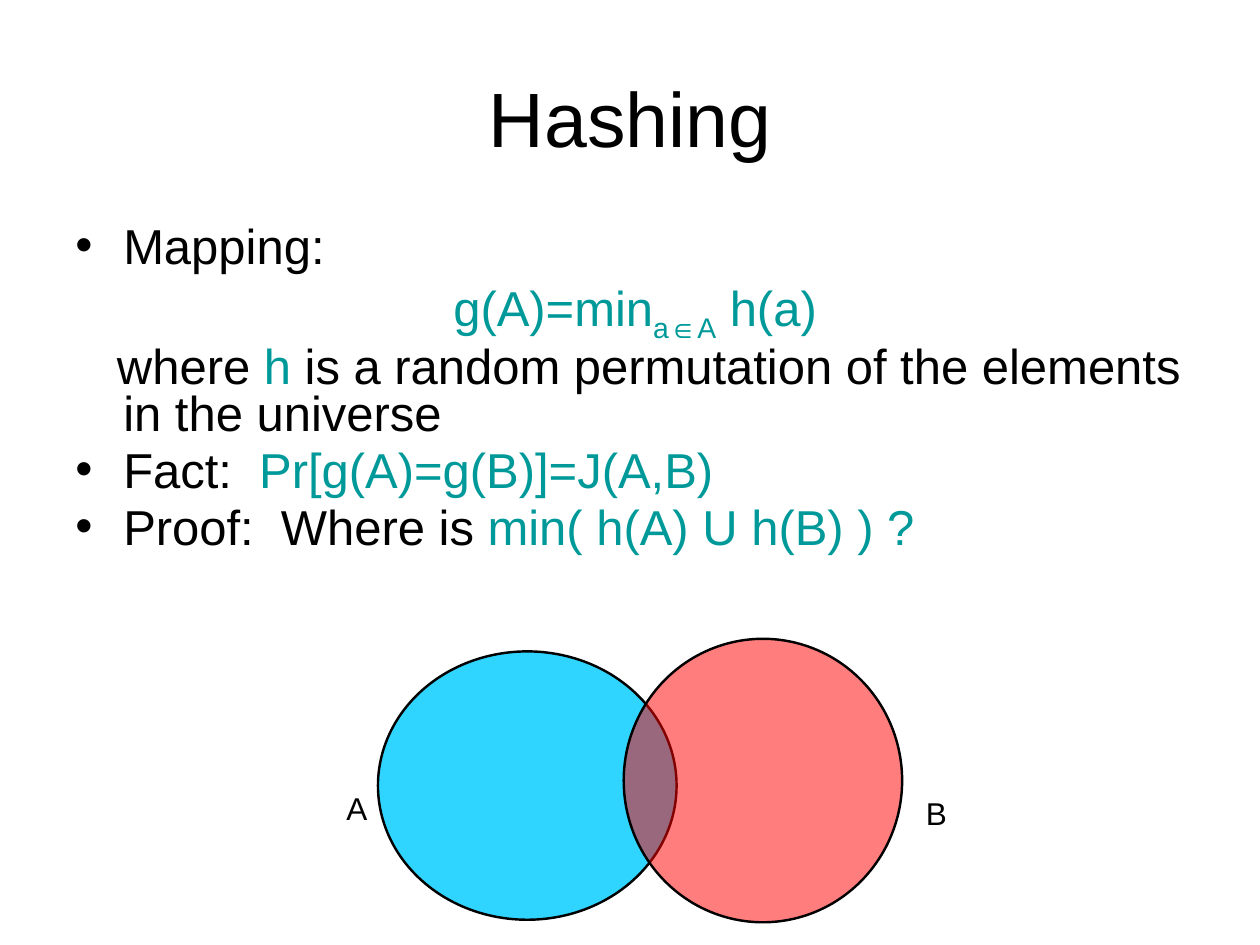
from lxml.etree import SubElement
from pptx import Presentation
from pptx.dml.color import RGBColor
from pptx.enum.shapes import MSO_SHAPE
from pptx.enum.text import MSO_ANCHOR, PP_ALIGN
from pptx.oxml.ns import qn
from pptx.util import Inches, Pt

BLACK = RGBColor(0x00, 0x00, 0x00)
TEAL = RGBColor(0x00, 0x99, 0x99)
BLUE = RGBColor(0x00, 0xCC, 0xFF)
RED = RGBColor(0xFF, 0x00, 0x00)

TITLE = "Hashing"
HANG = 0.38
# Each paragraph: runs of (text, colour, baseline shift in %), then its format
BODY = [
    ([("Mapping:", BLACK, 0)], dict(bullet=True)),
    ([("g(A)=min", TEAL, 0), ("a∈A", TEAL, -25), (" h(a)", TEAL, 0)],
     dict(align=PP_ALIGN.CENTER)),
    ([("where ", BLACK, 0), ("h", TEAL, 0),
      (" is a random permutation of the elements in the universe", BLACK, 0)],
     dict(indent=-0.05)),
    ([("Fact:  ", BLACK, 0), ("Pr[g(A)=g(B)]=J(A,B)", TEAL, 0)], dict(bullet=True)),
    ([("Proof:  Where is", BLACK, 0), (" min( h(A) U h(B) ) ?", TEAL, 0)],
     dict(bullet=True)),
]
# Each set: label, label position, ellipse box, fill, opacity in %
SETS = [
    ("A", (2.65, 6.21), (3, 5.17, 2.37, 2.13), BLUE, 81),
    ("B", (7.25, 6.25), (4.95, 5.07, 2.21, 2.25), RED, 51),
]


def add_run(p, text, size, color=BLACK, baseline=0):
    r = p.add_run()
    r.text = text
    r.font.name, r.font.size = "Arial", Pt(size)
    r.font.color.rgb = color
    if baseline:
        r.font._element.set("baseline", str(baseline * 1000))


def format_body(p, bullet=False, align=PP_ALIGN.LEFT, indent=-HANG):
    p.alignment = align
    p.line_spacing = 0.8
    p.space_before = Pt(5.6)
    pPr = p._p.get_or_add_pPr()
    pPr.set("marL", str(Inches(HANG)))
    pPr.set("indent", str(Inches(indent)))
    if bullet:
        SubElement(pPr, qn("a:buFont")).set("typeface", "Arial")
        SubElement(pPr, qn("a:buChar")).set("char", "•")
    else:
        SubElement(pPr, qn("a:buNone"))


def add_set(s, box, color, opacity):
    sp = s.shapes.add_shape(MSO_SHAPE.OVAL, *map(Inches, box))
    sp.shadow.inherit = False
    sp.fill.solid()
    sp.fill.fore_color.rgb = color
    srgb = sp._element.spPr.find(qn("a:solidFill")).find(qn("a:srgbClr"))
    SubElement(srgb, qn("a:alpha")).set("val", str(opacity * 1000))
    sp.line.color.rgb = BLACK
    sp.line.width = Pt(1.38)


def main():
    prs = Presentation()
    prs.slide_width, prs.slide_height = Inches(10), Inches(7.5)
    s = prs.slides.add_slide(prs.slide_layouts[5])

    title = s.shapes.title
    title.left, title.top, title.width, title.height = map(Inches, (0.5, 0.3, 9, 1.25))
    title.text_frame.vertical_anchor = MSO_ANCHOR.MIDDLE
    p = title.text_frame.paragraphs[0]
    p.alignment = PP_ALIGN.CENTER
    add_run(p, TITLE, 44)

    tf = s.shapes.add_textbox(*map(Inches, (0.5, 1.75, 9.08, 2.92))).text_frame
    tf.word_wrap = True
    for i, (runs, style) in enumerate(BODY):
        p = tf.add_paragraph() if i else tf.paragraphs[0]
        format_body(p, **style)
        for text, color, baseline in runs:
            add_run(p, text, 28, color, baseline)

    for _, _, box, color, opacity in SETS:
        add_set(s, box, color, opacity)
    for label, pos, *_ in SETS:
        tf = s.shapes.add_textbox(*map(Inches, (*pos, 0.37, 0.4))).text_frame
        tf.word_wrap = False
        add_run(tf.paragraphs[0], label, 18)

    prs.save("out.pptx")


if __name__ == "__main__":
    main()
